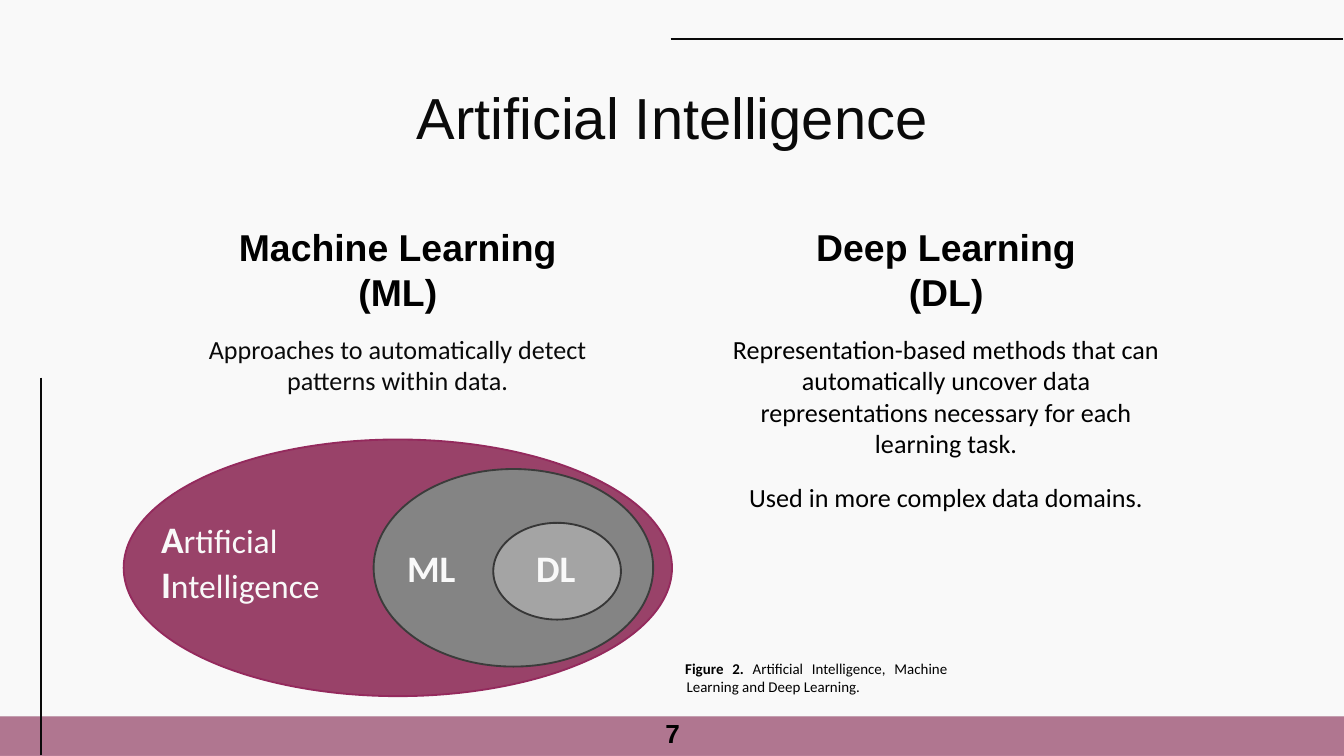
from lxml import etree
from pptx import Presentation
from pptx.dml.color import RGBColor
from pptx.enum.shapes import MSO_CONNECTOR, MSO_SHAPE
from pptx.enum.text import MSO_ANCHOR, PP_ALIGN
from pptx.oxml.ns import qn
from pptx.util import Inches, Pt

BACKGROUND = RGBColor(0xF9, 0xF9, 0xF9)
INK = RGBColor(0x0A, 0x0A, 0x0A)
BLACK = RGBColor(0x00, 0x00, 0x00)
PLUM = RGBColor(0x99, 0x42, 0x69)
PLUM_EDGE = RGBColor(0x94, 0x2A, 0x5D)
BAR_GREY = RGBColor(0xDD, 0xDD, 0xDD)
GREY = RGBColor(0x84, 0x84, 0x84)
GREY_EDGE = RGBColor(0x3B, 0x3C, 0x3B)
LIGHT_GREY = RGBColor(0xA6, 0xA6, 0xA6)
LIGHT_EDGE = RGBColor(0x37, 0x37, 0x37)


def add_solid(kind, box, fill, edge=None, alpha=100):
    sp = s.shapes.add_shape(kind, *map(Inches, box))
    sp.shadow.inherit = False
    sp.fill.solid()
    sp.fill.fore_color.rgb = fill
    if alpha < 100:
        clr = sp._element.spPr.find(qn("a:solidFill"))[0]
        etree.SubElement(clr, qn("a:alpha")).set("val", str(alpha * 1000))
    if edge is None:
        sp.line.fill.background()
    else:
        sp.line.color.rgb = edge
        sp.line.width = Pt(1)


def add_text(box, paragraphs, font, color, align=PP_ALIGN.LEFT, after=0, inset=0.05):
    tf = s.shapes.add_textbox(*map(Inches, box)).text_frame
    tf.word_wrap = True
    tf.margin_top = tf.margin_bottom = Inches(inset)
    tf.margin_left = tf.margin_right = Inches(0.1)
    for i, runs in enumerate(paragraphs):
        p = tf.add_paragraph() if i else tf.paragraphs[0]
        p.alignment = align
        p.space_after = Pt(after)
        for text, size, bold in runs:
            r = p.add_run()
            r.text = text
            r.font.name = font
            r.font.size = Pt(size)
            r.font.bold = bold
            r.font.color.rgb = color
    return tf


prs = Presentation()
prs.slide_width = Inches(10)
prs.slide_height = Inches(10 * 9 / 16)
s = prs.slides.add_slide(prs.slide_layouts[5])
s.background.fill.solid()
s.background.fill.fore_color.rgb = BACKGROUND

title = s.shapes.title
title.left, title.top, title.width, title.height = map(Inches, (0.78, 0.51, 8.44, 0.6))
tf = title.text_frame
tf.text = "Artificial Intelligence"
tf.vertical_anchor = MSO_ANCHOR.TOP
tf.margin_left = tf.margin_right = tf.margin_top = tf.margin_bottom = Inches(0.1)
p = tf.paragraphs[0]
p.alignment = PP_ALIGN.CENTER
r = p.runs[0]
r.font.name = "Arial"
r.font.size = Pt(31)
r.font.color.rgb = INK

add_solid(MSO_SHAPE.RECTANGLE, (0, 5.33, 10, 0.29), BAR_GREY)
add_solid(MSO_SHAPE.RECTANGLE, (0, 5.33, 10, 0.3), PLUM, alpha=66)

for ends in [(0.3, 5.62, 0.3, 2.81), (4.99, 0.29, 9.99, 0.29), (0.31, 2.81, 0.31, 5.62)]:
    line = s.shapes.add_connector(MSO_CONNECTOR.STRAIGHT, *map(Inches, ends))
    line.line.color.rgb = INK
    line.line.width = Pt(0.75)
    etree.SubElement(line._element.spPr, qn("a:effectLst"))

columns = [
    ("Machine Learning (ML)", (1.65, 1.62, 2.62, 0.77), (1.21, 2.38, 3.5, 0.6), INK,
     ["Approaches to automatically detect patterns within data."]),
    ("Deep Learning (DL)", (5.94, 1.62, 2.2, 0.77), (5.29, 2.38, 3.5, 1.54), BLACK,
     ["Representation-based methods that can automatically uncover data "
      "representations necessary for each learning task.",
      "Used in more complex data domains."]),
]
for heading, heading_box, body_box, color, body in columns:
    tf = add_text(heading_box, [[(heading, 20, True)]], "Arial", BLACK, PP_ALIGN.CENTER)
    tf.vertical_anchor = MSO_ANCHOR.MIDDLE
    add_text(body_box, [[(text, 14, False)] for text in body], "Calibri", color,
             PP_ALIGN.CENTER, after=12, inset=0.1)

add_solid(MSO_SHAPE.OVAL, (0.92, 3.27, 4.08, 1.91), PLUM, PLUM_EDGE)
add_solid(MSO_SHAPE.OVAL, (2.78, 3.49, 2.08, 1.47), GREY, GREY_EDGE)
add_solid(MSO_SHAPE.OVAL, (3.67, 3.89, 0.95, 0.72), LIGHT_GREY, LIGHT_EDGE, alpha=95)

ai_runs = [("A", 20, True), ("rtificial", 18, False), (" I", 20, True), ("ntelligence", 18, False)]
add_text((1.1, 3.79, 2.23, 0.77), [ai_runs], "Calibri", BACKGROUND)
for label, left in [("ML", 2.93), ("DL", 3.89)]:
    add_text((left, 4.01, 0.69, 0.44), [[(label, 20, True)]], "Calibri", BACKGROUND)

add_text((0, 5.29, 10.01, 0.34), [[("7", 14, True)]], "Arial", BLACK, PP_ALIGN.CENTER)

caption = [("Figure 2. ", 8, True),
           ("Artificial Intelligence, Machine Learning and Deep Learning.", 8, False)]
tf = add_text((5, 4.86, 2.15, 0.37), [caption], "Calibri", BLACK, PP_ALIGN.JUSTIFY)
pPr = tf.paragraphs[0]._p.get_or_add_pPr()
pPr.set("marL", str(Inches(0.01)))
pPr.set("indent", str(Inches(-0.01)))

prs.save("out.pptx")
